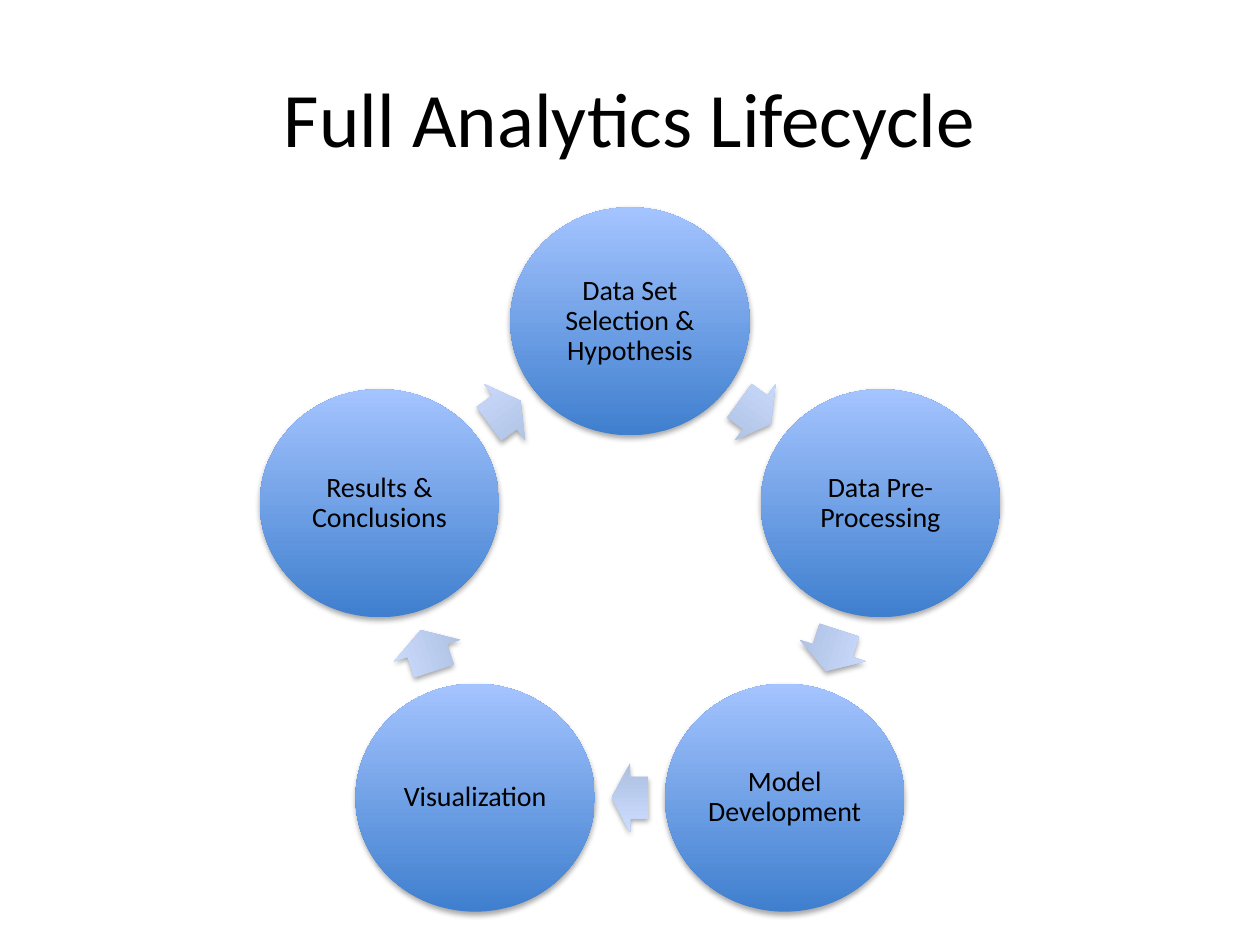
from dataclasses import dataclass
from math import cos, pi, radians, sin

from lxml import etree
from pptx import Presentation
from pptx.dml.color import RGBColor
from pptx.enum.shapes import MSO_SHAPE
from pptx.enum.text import MSO_ANCHOR, PP_ALIGN
from pptx.oxml.ns import qn
from pptx.util import Inches, Pt

ELLIPSE, ARROW = MSO_SHAPE.OVAL, MSO_SHAPE.RIGHT_ARROW
CENTER, MIDDLE = PP_ALIGN.CENTER, MSO_ANCHOR.MIDDLE

FONT = "Calibri"
BLACK = "000000"
STAGE_FILL = ("3F7FCE", "A4C4FF")  # bottom, top
ARROW_FILL = ("ADBFE1", "CCDDFF")

# Ring geometry in inches
RING_X, RING_Y, RING_R = 5, 4.64, 2.09
STAGE_W, STAGE_H = 1.9, 1.81
ARROW_H = 0.55


@dataclass
class Stage:
    label: str
    arrow_length: float  # arrow to the next stage


STAGES = [
    Stage("Data Set Selection & Hypothesis", 0.31),
    Stage("Data Pre-Processing", 0.34),
    Stage("Model Development", 0.29),
    Stage("Visualization", 0.34),
    Stage("Results & Conclusions", 0.31),
]


def rgb(color: str) -> RGBColor:
    return RGBColor.from_string(color)


def add_shadow(sp) -> None:
    sp.shadow.inherit = False
    effects = sp.element.spPr.find(qn("a:effectLst"))
    shadow = etree.SubElement(effects, qn("a:outerShdw"), blurRad=str(Pt(3.1)),
                              dist=str(Pt(1.8)), dir="5400000", rotWithShape="0")
    color = etree.SubElement(shadow, qn("a:srgbClr"), val=BLACK)
    etree.SubElement(color, qn("a:alpha"), val="35000")


def add_on_ring(s, kind, angle: float, radius: float, w: float, h: float,
                colors: tuple[str, str]):
    """Place a shape on the ring, angle clockwise from the top in degrees."""
    x = RING_X + radius * sin(radians(angle))
    y = RING_Y - radius * cos(radians(angle))
    sp = s.shapes.add_shape(kind, Inches(x - w / 2), Inches(y - h / 2),
                            Inches(w), Inches(h))
    sp.fill.gradient()
    sp.fill.gradient_angle = 90
    for stop, position, color in zip(sp.fill.gradient_stops, (0, 1), colors):
        stop.position = position
        stop.color.rgb = rgb(color)
    sp.line.fill.background()
    add_shadow(sp)
    return sp


def write(tf, text: str, size: float, spacing: float = 1) -> None:
    tf.word_wrap = True
    tf.vertical_anchor = MIDDLE
    p = tf.paragraphs[0]
    p.alignment = CENTER
    p.line_spacing = spacing
    r = p.add_run()
    r.text = text
    r.font.name = FONT
    r.font.size = Pt(size)
    r.font.color.rgb = rgb(BLACK)


def add_stage(s, stage: Stage, angle: float) -> None:
    sp = add_on_ring(s, ELLIPSE, angle, RING_R, STAGE_W, STAGE_H, STAGE_FILL)
    tf = sp.text_frame
    tf.margin_left = tf.margin_right = Inches(0.02)
    tf.margin_top = tf.margin_bottom = Inches(0.02)
    write(tf, stage.label, 16, 0.9)


def add_arrow(s, length: float, angle: float, radius: float) -> None:
    sp = add_on_ring(s, ARROW, angle, radius, length, ARROW_H, ARROW_FILL)
    sp.adjustments[0] = 0.6
    sp.adjustments[1] = 0.5
    sp.rotation = angle


def main() -> None:
    prs = Presentation()
    prs.slide_width, prs.slide_height = Inches(10), Inches(7.5)
    s = prs.slides.add_slide(prs.slide_layouts[6])

    # Title
    title = s.shapes.add_textbox(Inches(0.5), Inches(0.3), Inches(9), Inches(1.25))
    write(title.text_frame, "Full Analytics Lifecycle", 44)

    # Cycle: each arrow sits halfway between two stages
    step = 360 / len(STAGES)
    arrow_r = RING_R * cos(pi / len(STAGES))
    for i, stage in enumerate(STAGES):
        add_stage(s, stage, i * step)
        add_arrow(s, stage.arrow_length, (i + 0.5) * step, arrow_r)

    prs.save("out.pptx")


if __name__ == "__main__":
    main()
